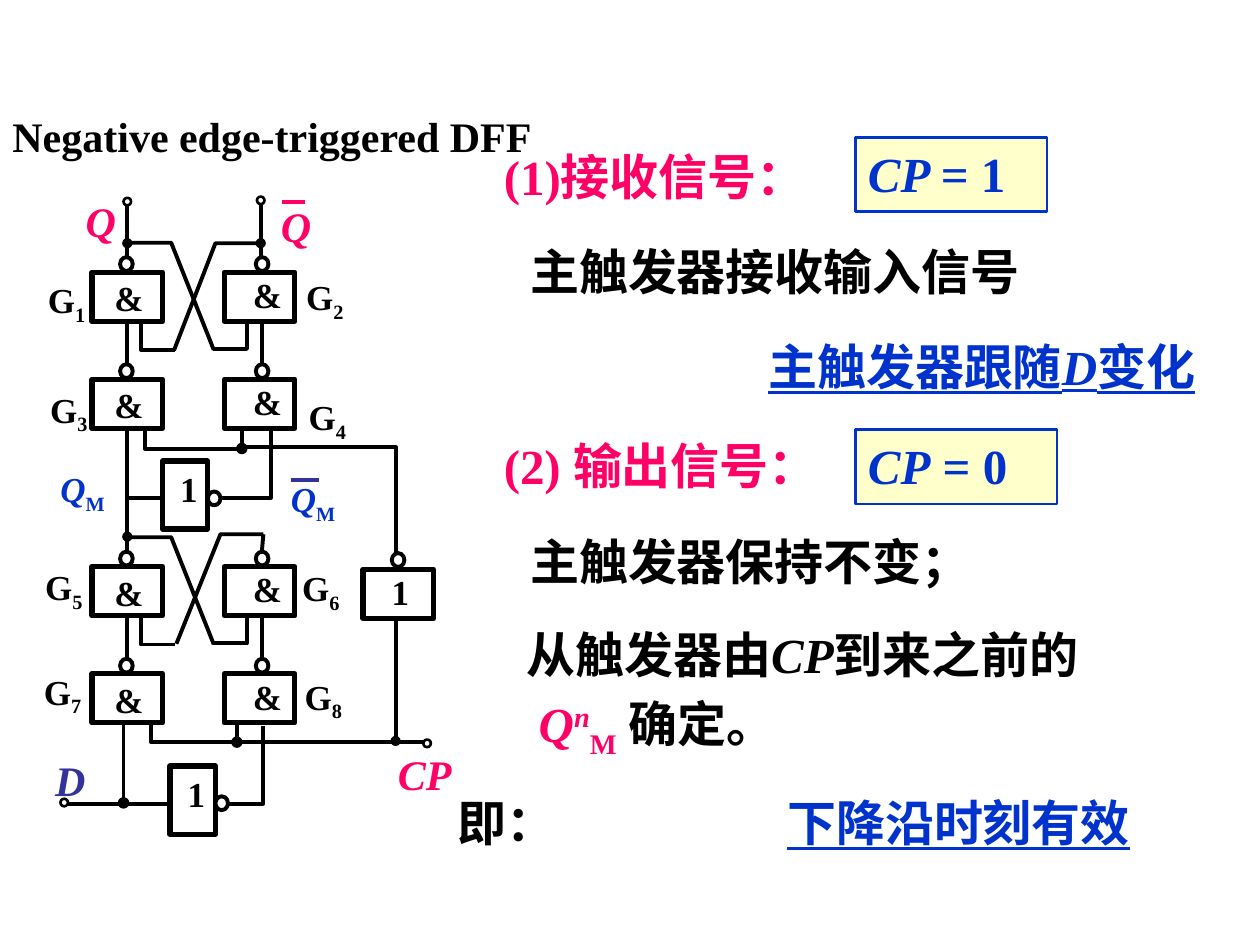
from lxml import etree
from pptx import Presentation
from pptx.dml.color import RGBColor
from pptx.enum.shapes import MSO_CONNECTOR as Connector, MSO_SHAPE as Shape
from pptx.enum.text import MSO_ANCHOR as Anchor, MSO_AUTO_SIZE as AutoSize, PP_ALIGN as Align
from pptx.oxml.ns import qn
from pptx.util import Pt

BLACK = RGBColor(0, 0, 0)
WHITE = RGBColor(255, 255, 255)
PINK = RGBColor(0xFF, 0x00, 0x66)
BLUE = RGBColor(0x00, 0x33, 0xCC)
INDIGO = RGBColor(0x33, 0x33, 0x99)
CREAM = RGBColor(0xFF, 0xFF, 0xCC)
FONT = "Times New Roman"
BASELINES = {"sup": "30000", "sub": "-25000"}

# Explanation: left, top, width, height, paragraphs of (text, colour, styles)
NOTES = [
    (280.8, 79.9, 198, 41, [[("(1)接收信号：", PINK, "")]]),
    (295.9, 134.6, 336.2, 41, [[("主触发器接收输入信号", BLACK, "")]]),
    (432, 188.6, 280, 41, [[("主触发器跟随", BLUE, "u"), ("D", BLUE, "u i"),
                            ("变化", BLUE, "u")]]),
    (280.8, 245.5, 220.3, 41, [[("(2) 输出信号：", PINK, "")]]),
    (295.9, 300.2, 311.8, 41, [[("主触发器保持不变；", BLACK, "")]]),
    (293.8, 353.5, 362.9, 81.4, [
        [("从触发器由", BLACK, ""), ("CP", BLACK, "i"), ("到来之前的", BLACK, "")],
        [(" Q", PINK, "i"), ("n", PINK, "i sup"), ("M", PINK, "sub"),
         (" 确定。", BLACK, "")]]),
    (254.2, 449.3, 90, 41, [[("即：", BLACK, "")]]),
    (442.8, 449.3, 244.8, 41, [[("下降沿时刻有效", BLUE, "u")]]),
]
CLOCK_BOXES = [
    (488.9, 78.5, 109.4, 42.5, [[("CP ", BLUE, "i"), ("= 1", BLUE, "")]]),
    (488.9, 245.5, 115.2, 42.5, [[("CP", BLUE, "i"), (" = 0", BLUE, "")]]),
]
TITLE = (0, 59.8, 311, 36, [[("Negative edge-triggered DFF", BLACK, "")]])

# Signal and gate names: left, top, text, subscript, colour
SIGNALS = [(41.8, 108, "Q", PINK), (153.4, 110.9, "Q", PINK),
           (220.3, 424.1, "CP", PINK), (24.5, 427.7, "D", INDIGO)]
MASTER_OUTPUTS = [(27.4, 263.5), (159.1, 269.3)]
GATE_NAMES = [(20.2, 155.5), (167.8, 154.1), (21.6, 218.2), (169.2, 222.5),
              (18.7, 319.7), (165.6, 320.4), (18, 379.4), (167, 382.3)]

# Schematic grid
GATE_W, GATE_H = 40.3, 28.1
LATCH_TOPS = (155.5, 323.8)
ROW_GAP = 61.2
ROW_TOPS = [top + gap for top in LATCH_TOPS for gap in (0, ROW_GAP)]
LEFT_X, RIGHT_X = 52.6, 128.2
LEFT_WIRE, RIGHT_WIRE = LEFT_X + GATE_W / 2, 149.8
BUBBLE_W, BUBBLE_H = 7.2, 7.9
DOT = 4.3

# Inverters: left, top, width, height, bubble centre, label corner
INVERTERS = [
    (92.9, 263.5, 25.9, 38.9, (122.4, 284.8), (95.8, 263.5)),
    (97.2, 437.8, 25.9, 38.9, (126.7, 459), (100.1, 437.8)),
    (207.4, 325.4, GATE_W, GATE_H, (227.5, 320), (216.7, 322.6)),
]
# Feedback wires repeated in each latch, heights relative to the latch top
LATCH_WIRES = [
    [(LEFT_WIRE, -16.8), (97.9, -16.8), (122.2, 44.4)],
    [(141.1, 29.5), (141.1, 43.9), (121.7, 43.9)],
    [(80.6, 29.5), (80.6, 44.5), (100.1, 44.5)],
    [(RIGHT_WIRE, GATE_H), (RIGHT_WIRE, ROW_GAP)],
]
WIRES = [
    [(147, 139), (123.1, 139), (99.4, 200.2)],
    [(150.5, 305.3), (126, 305.3), (100.8, 367.9)],
    [(149.4, 116.6), (149.4, 154.8)],
    [(149, 322.6), (150.5, 305.3)],
    [(37.4, 459.2), (150.5, 459.2), (150.5, 414.7)],
    [(70.6, 413.3), (70.6, 456.5)],
    [(82.8, 243.4), (82.8, 256.3), (138.2, 256.3), (138.2, 245.5)],
    [(86.4, 411.1), (86.4, 424.1), (135.4, 424.1), (135.4, 413.3)],
    [(226.1, 424.8), (226.1, 255.6), (136.1, 255.6)],
    [(133.9, 424.1), (246.2, 424.1)],
    [(LEFT_WIRE, 284.4), (154.8, 284.4), (154.8, 244.8)],
]
OVERBARS = [(161.3, 115.2, 13, PINK), (166.3, 274.3, 15.9, INDIGO)]
# Dot centres and outline widths
JUNCTIONS = [(LEFT_WIRE, 139, 1.5), (149, 139, 1.5), (LEFT_WIRE, 306.7, 1.5),
             (226.1, 423.4, 1.5), (138.2, 256.3, 2.25), (135.4, 424.1, 2.25),
             (70.6, 458.8, 2.25)]
TERMINALS = [(LEFT_WIRE, 115.2), (149, 114.5), (244.1, 424.8), (36.7, 458.6)]

presentation = Presentation()
presentation.slide_width, presentation.slide_height = Pt(720), Pt(540)
slide = presentation.slides.add_slide(presentation.slide_layouts[6])
shapes = slide.shapes


def write(shape, paragraphs, size, wrap=True):
    frame = shape.text_frame
    frame.word_wrap = wrap
    frame.auto_size = AutoSize.SHAPE_TO_FIT_TEXT
    frame.vertical_anchor = Anchor.TOP
    for index, runs in enumerate(paragraphs):
        paragraph = frame.add_paragraph() if index else frame.paragraphs[0]
        paragraph.alignment = Align.LEFT
        if index:
            paragraph.space_before = Pt(size * 0.2)
        for text, color, style in runs:
            styles = style.split()
            run = paragraph.add_run()
            run.text = text
            font = run.font
            font.name, font.size, font.bold = FONT, Pt(size), True
            font.italic, font.underline = "i" in styles, "u" in styles
            font.color.rgb = color
            for name in BASELINES.keys() & set(styles):
                run._r.get_or_add_rPr().set("baseline", BASELINES[name])


def add_text(left, top, width, height, paragraphs, size, wrap=True):
    box = shapes.add_textbox(Pt(left), Pt(top), Pt(width), Pt(height))
    write(box, paragraphs, size, wrap)


def add_solid(kind, left, top, width, height, fill, line, weight):
    shape = shapes.add_shape(kind, Pt(left), Pt(top), Pt(width), Pt(height))
    shape.shadow.inherit = False
    shape.fill.solid()
    shape.fill.fore_color.rgb = fill
    shape.line.color.rgb = line
    shape.line.width = Pt(weight)
    return shape


def add_oval(x, y, width, height, fill, weight):
    add_solid(Shape.OVAL, x - width / 2, y - height / 2, width, height, fill, BLACK, weight)


def add_line(start, end, color=BLACK):
    line = shapes.add_connector(Connector.STRAIGHT, *(Pt(v) for v in (*start, *end)))
    line.line.color.rgb = color
    line.line.width = Pt(2.25)
    etree.SubElement(line._element.spPr, qn("a:effectLst"))
    return line


def add_wire(points):
    if len(points) == 2:
        add_line(*points)
        return
    corners = [(Pt(x), Pt(y)) for x, y in points]
    builder = shapes.build_freeform(*corners[0])
    builder.add_line_segments(corners[1:], close=False)
    wire = builder.convert_to_shape()
    wire.shadow.inherit = False
    wire.fill.background()
    wire.line.color.rgb = BLACK
    wire.line.width = Pt(2.25)


# Explanation on the right
for note in NOTES:
    add_text(*note, 28)
for *place, paragraphs in CLOCK_BOXES:
    write(add_solid(Shape.RECTANGLE, *place, CREAM, BLUE, 1.5), paragraphs, 28)

# Wires behind the gates
for top in LATCH_TOPS:
    for points in LATCH_WIRES:
        add_wire([(x, top + y) for x, y in points])
for points in WIRES:
    add_wire(points)

# NAND gates, with the left column joined from top to bottom
upper_gate = None
for top in ROW_TOPS:
    left_gate, _ = [add_solid(Shape.RECTANGLE, x, top, GATE_W, GATE_H, WHITE, BLACK, 3)
                    for x in (LEFT_X, RIGHT_X)]
    link = add_line((LEFT_WIRE, 118), (LEFT_WIRE, top))
    if upper_gate is not None:
        link.begin_connect(upper_gate, 2)
    link.end_connect(left_gate, 0)
    upper_gate = left_gate
    for x in (LEFT_WIRE - 0.5, RIGHT_WIRE):
        add_oval(x, top - 4.6, BUBBLE_W, BUBBLE_H, WHITE, 2.25)
    for x, lift in ((58.3, 0.9), (137.5, 2.8)):
        add_text(x, top - lift, 31, 31, [[("&", BLACK, "")]], 20, False)

# Inverters
for *place, bubble, label in INVERTERS:
    add_solid(Shape.RECTANGLE, *place, WHITE, BLACK, 3)
    add_oval(*bubble, BUBBLE_W, BUBBLE_H, WHITE, 2.25)
    add_text(*label, 30.2, 31, [[("1", BLACK, "")]], 20)

# Junctions and terminals
for x, y, weight in JUNCTIONS:
    add_oval(x, y, DOT, DOT, BLACK, weight)
for x, y in TERMINALS:
    add_oval(x, y, DOT, DOT, WHITE, 1.5)

# Names
for number, (x, y) in enumerate(GATE_NAMES, 1):
    add_text(x, y, 36.7, 31, [[("G", BLACK, ""), (str(number), BLACK, "sub")]], 20, False)
for x, y in MASTER_OUTPUTS:
    add_text(x, y, 41, 31, [[("Q", BLUE, "i"), ("M", BLUE, "sub")]], 20, False)
for x, y, name, color in SIGNALS:
    add_text(x, y, 60 if name == "CP" else 31.7, 36, [[(name, color, "i")]], 24)
for x, y, length, color in OVERBARS:
    add_line((x, y), (x + length, y), color)
add_text(*TITLE, 24, False)

presentation.save("out.pptx")
